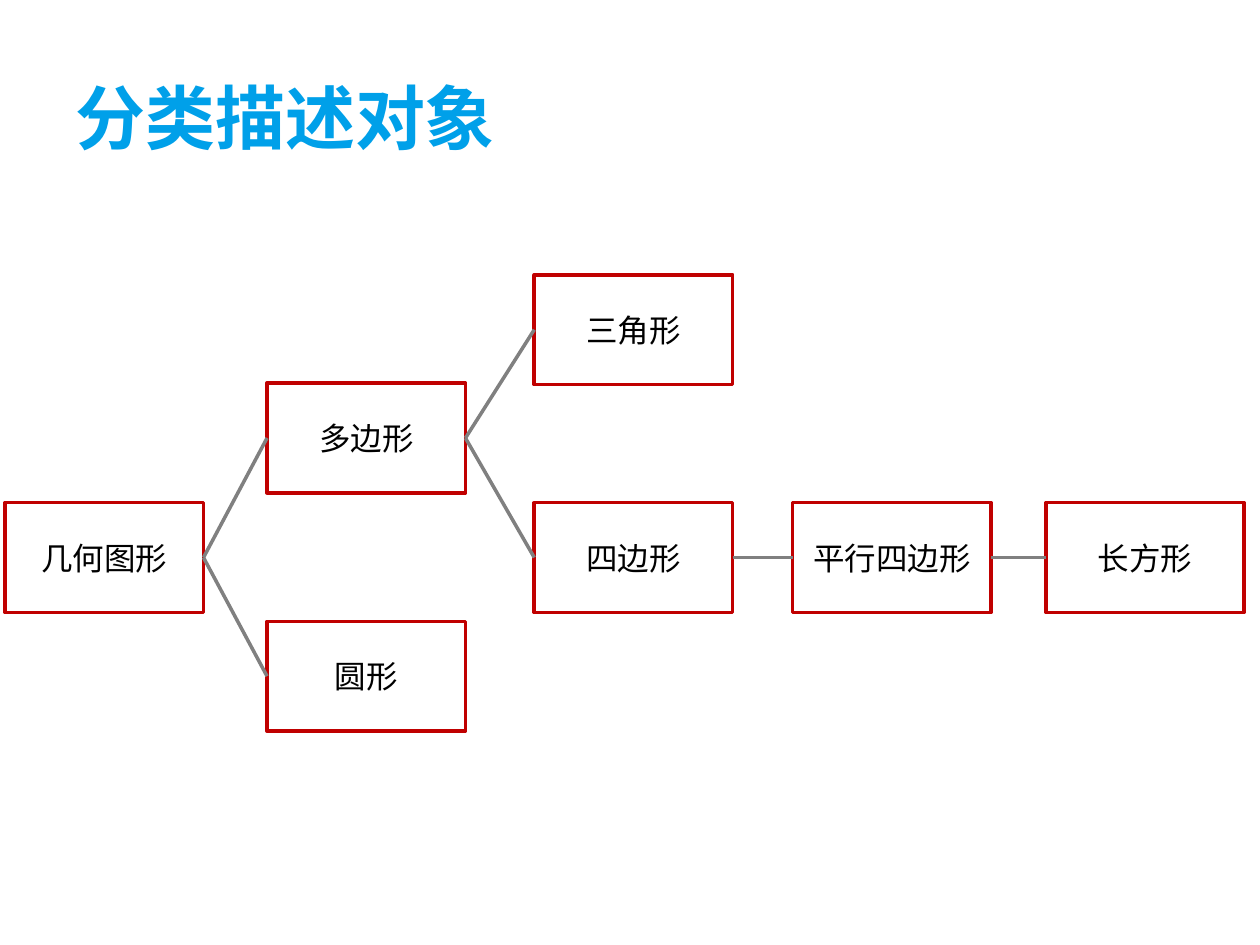
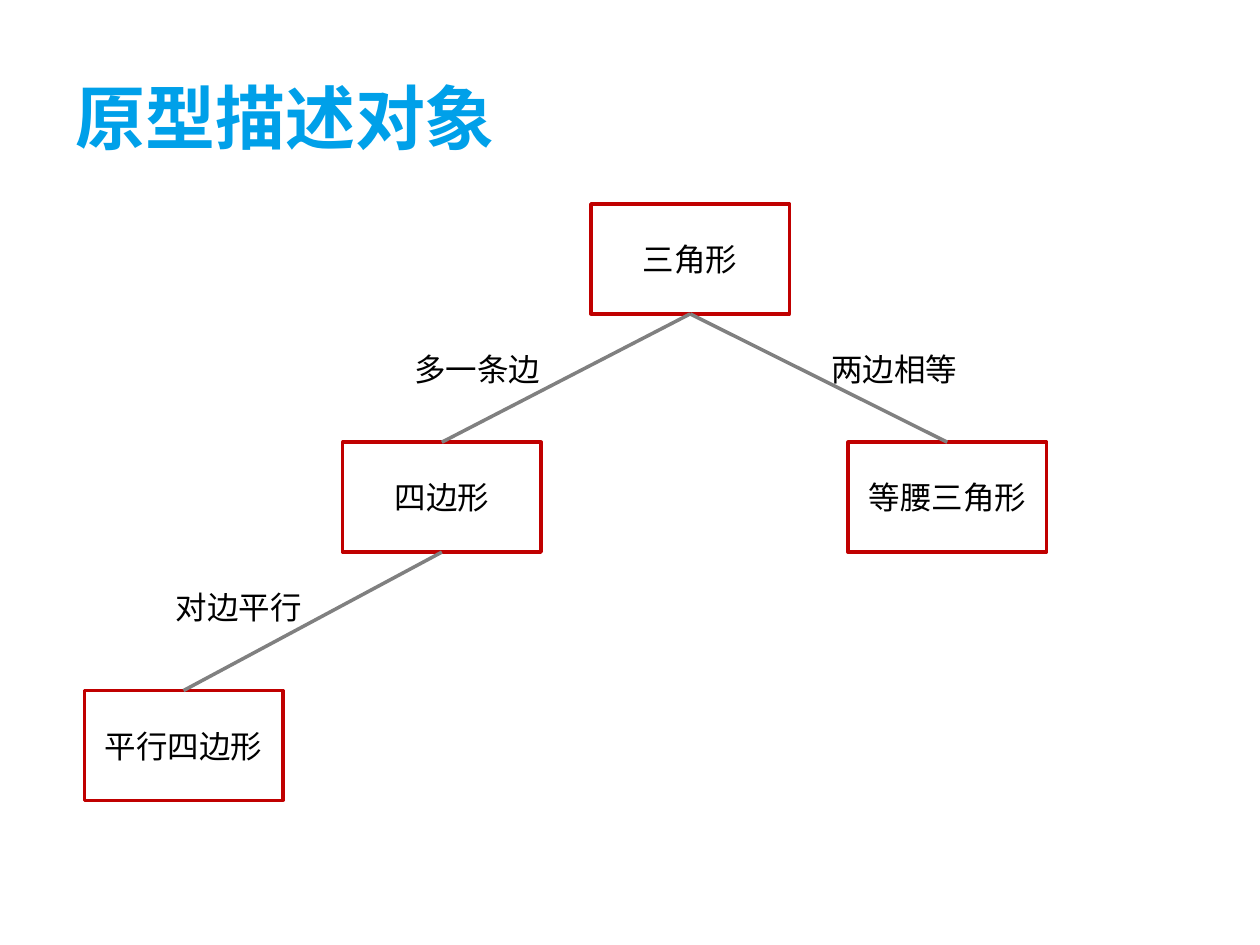
from lxml import etree
from pptx import Presentation
from pptx.dml.color import RGBColor
from pptx.enum import shapes, text
from pptx.oxml import ns
from pptx.util import Pt

FONT = "Arial"
BLUE, RED, GREY, BLACK = "00A0E9", "C00000", "808080", "000000"
BOX_WIDTH, BOX_HEIGHT = 113.4, 62.8
LABEL_WIDTH, LABEL_HEIGHT = 87.1, 28.8
LINE_WIDTH = 2
TOP, LEFT, BOTTOM, RIGHT = range(4)  # connection sites of a rectangle

# Columns and rows hold left and top edges; a node is (name, column, row).
PAGES = [
    {
        "title": "分类描述对象",
        "columns": [2.9, 152.6, 305.3, 452.9, 597.6],
        "rows": [157, 218.9, 287.2, 355],
        "nodes": [("多边形", 1, 1), ("几何图形", 0, 2), ("圆形", 1, 3),
                  ("三角形", 2, 0), ("四边形", 2, 2),
                  ("平行四边形", 3, 2), ("长方形", 4, 2)],
        "links": [("几何图形", "多边形"), ("几何图形", "圆形"),
                  ("多边形", "三角形"), ("多边形", "四边形"),
                  ("四边形", "平行四边形"), ("平行四边形", "长方形")],
        "sites": (RIGHT, LEFT),
        "labels": [],
    },
    {
        "title": "原型描述对象",
        "columns": [48.2, 195.8, 337.7, 484.6],
        "rows": [116.6, 252.7, 394.6],
        "nodes": [("等腰三角形", 3, 1), ("四边形", 1, 1),
                  ("三角形", 2, 0), ("平行四边形", 0, 2)],
        "links": [("三角形", "四边形"), ("三角形", "等腰三角形"),
                  ("四边形", "平行四边形")],
        "sites": (BOTTOM, TOP),
        "labels": [("多一条边", 229.7, 196.6), ("对边平行", 93.3, 332.6),
                   ("两边相等", 468, 196.6)],
    },
]


def color(value):
    """Turn a hex string into a colour."""
    return RGBColor.from_string(value)


def write(shape, words, size=18, ink=BLACK, bold=False,
          align=text.PP_ALIGN.LEFT, anchor=text.MSO_ANCHOR.MIDDLE, wrap=True):
    """Put one styled run into a shape."""
    frame = shape.text_frame
    frame.word_wrap = wrap
    frame.vertical_anchor = anchor
    para = frame.paragraphs[0]
    para.alignment = align
    span = para.add_run()
    span.text = words
    span.font.name, span.font.size, span.font.bold = FONT, Pt(size), bold
    span.font.color.rgb = color(ink)


def add_title(page, words):
    """Add the shared slide title."""
    box = page.shapes.add_textbox(Pt(36), Pt(21.6), Pt(648), Pt(90))
    write(box, words, size=40, ink=BLUE, bold=True)


def add_node(page, words, left, top):
    """Add a red outlined box and return it."""
    box = page.shapes.add_shape(shapes.MSO_SHAPE.RECTANGLE, Pt(left), Pt(top),
                                Pt(BOX_WIDTH), Pt(BOX_HEIGHT))
    box.shadow.inherit = False
    box.fill.background()
    box.line.color.rgb = color(RED)
    box.line.width = Pt(LINE_WIDTH)
    write(box, words, align=text.PP_ALIGN.CENTER)
    return box


def add_link(page, parent, child, sites):
    """Join two boxes with a grey line glued to the given sites."""
    link = page.shapes.add_connector(shapes.MSO_CONNECTOR.STRAIGHT, 0, 0, 0, 0)
    link.begin_connect(parent, sites[0])
    link.end_connect(child, sites[1])
    link.line.color.rgb = color(GREY)
    link.line.width = Pt(LINE_WIDTH)
    etree.SubElement(link._element.spPr, ns.qn("a:effectLst"))


def add_label(page, words, left, top):
    """Add an unwrapped caption beside a line."""
    box = page.shapes.add_textbox(Pt(left), Pt(top),
                                  Pt(LABEL_WIDTH), Pt(LABEL_HEIGHT))
    write(box, words, anchor=text.MSO_ANCHOR.TOP, wrap=False)
    box.text_frame.auto_size = text.MSO_AUTO_SIZE.SHAPE_TO_FIT_TEXT


def build_page(deck, content):
    """Draw one titled tree on a blank slide."""
    page = deck.slides.add_slide(deck.slide_layouts[6])
    add_title(page, content["title"])
    nodes = {name: add_node(page, name, content["columns"][column],
                            content["rows"][row])
             for name, column, row in content["nodes"]}
    for parent, child in content["links"]:
        add_link(page, nodes[parent], nodes[child], content["sites"])
    for label in content["labels"]:
        add_label(page, *label)


deck = Presentation()
deck.slide_width, deck.slide_height = Pt(720), Pt(540)
for content in PAGES:
    build_page(deck, content)
deck.save("out.pptx")
